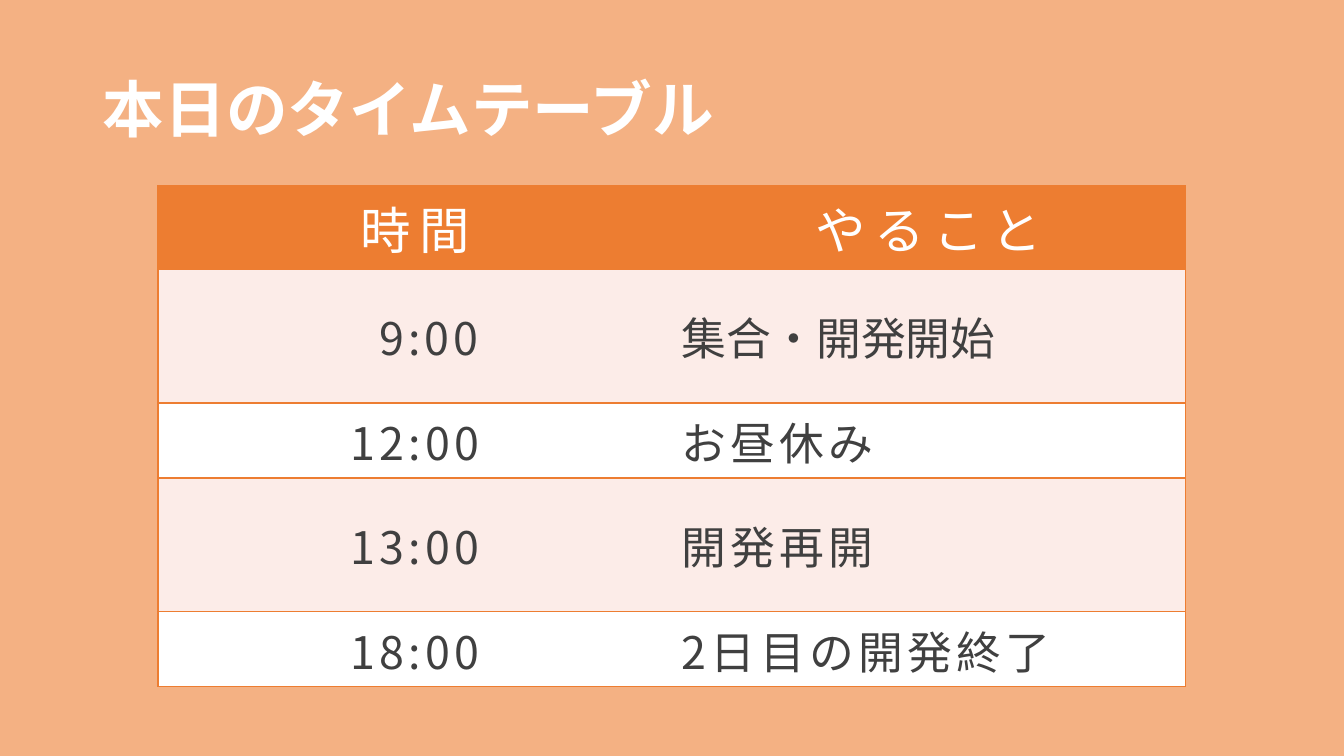
from dataclasses import dataclass

from lxml import etree
from pptx import Presentation
from pptx.dml.color import RGBColor
from pptx.enum.text import MSO_ANCHOR, PP_ALIGN
from pptx.oxml.ns import qn
from pptx.util import Emu, Pt

SCALE = 914400 / 100.8
FONT = "Noto Sans CJK JP"
WHITE, ORANGE, PEACH, PINK, GREY = "FFFFFF", "ED7D31", "F4B183", "FCECE8", "404040"
TOP, MIDDLE = MSO_ANCHOR.TOP, MSO_ANCHOR.MIDDLE
LEFT, CENTER = PP_ALIGN.LEFT, PP_ALIGN.CENTER
CELL_MARGIN = 10
DIGIT_SHIFT = 28
COLUMN_WIDTH = 514


@dataclass(frozen=True)
class TextStyle:
    """Look of one run; letter spacing is in points."""
    size: int
    color: str
    spacing: int = 0
    bold: bool = False


@dataclass(frozen=True)
class TimetableRow:
    """One timetable line with its height in pixels."""
    time: str
    activity: str
    height: int
    fill: str
    time_shift: int = 0
    activity_spacing: int = 3


TITLE_STYLE = TextStyle(44, WHITE, bold=True)
HEADER_STYLE = TextStyle(36, WHITE, 6)
HEADER = TimetableRow("時間", "やること", 83, ORANGE)
ENTRIES = [
    TimetableRow("9:00", "集合・開発開始", 134, PINK, DIGIT_SHIFT, 0),
    TimetableRow("12:00", "お昼休み", 75, WHITE),
    TimetableRow("13:00", "開発再開", 134, PINK),
    TimetableRow("18:00", "2日目の開発終了", 75, WHITE),
]


def px(pixels: float) -> Emu:
    """Turn pixels into EMU."""
    return Emu(round(pixels * SCALE))


def rgb(color: str) -> RGBColor:
    """Turn a hex string into a colour."""
    return RGBColor.from_string(color)


def add_run(paragraph, text: str, style: TextStyle) -> None:
    """Add one styled run to a paragraph."""
    run = paragraph.add_run()
    run.text = text
    run.font.size = Pt(style.size)
    run.font.bold = style.bold
    run.font.name = FONT
    run.font.color.rgb = rgb(style.color)
    properties = run._r.get_or_add_rPr()
    properties.set("spc", str(style.spacing * 100))
    east_asian = etree.Element(qn("a:ea"), typeface=FONT)
    properties.find(qn("a:latin")).addnext(east_asian)


def set_borders(cell, outer_side: str) -> None:
    """Draw the outer, top and bottom edges and leave the inner one empty."""
    properties = cell._tc.get_or_add_tcPr()
    for side in ("lnL", "lnR", "lnT", "lnB"):
        line = etree.SubElement(properties, qn(f"a:{side}"), w=str(Pt(1)))
        if side in (outer_side, "lnT", "lnB"):
            fill = etree.SubElement(line, qn("a:solidFill"))
            etree.SubElement(fill, qn("a:srgbClr"), val=ORANGE)
        else:
            etree.SubElement(line, qn("a:noFill"))


def fill_cell(cell, text: str, style: TextStyle, fill: str, alignment,
              anchor, outer_side: str, shift: int = 0) -> None:
    """Write and colour one table cell."""
    set_borders(cell, outer_side)
    cell.fill.solid()
    cell.fill.fore_color.rgb = rgb(fill)
    cell.vertical_anchor = anchor
    cell.margin_left = px(CELL_MARGIN + shift)
    cell.margin_right = px(CELL_MARGIN)
    paragraph = cell.text_frame.paragraphs[0]
    paragraph.alignment = alignment
    add_run(paragraph, text, style)


def add_title(slide, text: str) -> None:
    """Add the slide heading."""
    frame = slide.shapes.add_textbox(px(93), px(40), px(1159), px(146)).text_frame
    frame.word_wrap = True
    frame.vertical_anchor = MIDDLE
    paragraph = frame.paragraphs[0]
    paragraph.line_spacing = 0.9
    add_run(paragraph, text, TITLE_STYLE)


def add_timetable(slide, header: TimetableRow, entries: list[TimetableRow]) -> None:
    """Add the timetable with its header and entries."""
    rows = [header, *entries]
    height = sum(row.height for row in rows)
    table = slide.shapes.add_table(len(rows), 2, px(158), px(186),
                                   px(2 * COLUMN_WIDTH), px(height)).table
    table.first_row = False
    table.horz_banding = False
    for column in table.columns:
        column.width = px(COLUMN_WIDTH)
    for index, row in enumerate(rows):
        table.rows[index].height = px(row.height)
        if row is header:
            time_style = activity_style = HEADER_STYLE
            alignment, anchor = CENTER, TOP
        else:
            time_style = TextStyle(32, GREY, 3)
            activity_style = TextStyle(32, GREY, row.activity_spacing)
            alignment, anchor = LEFT, MIDDLE
        fill_cell(table.cell(index, 0), row.time, time_style, row.fill,
                  CENTER, anchor, "lnL", row.time_shift)
        fill_cell(table.cell(index, 1), row.activity, activity_style, row.fill,
                  alignment, anchor, "lnR")


def main() -> None:
    """Build and save the timetable slide."""
    presentation = Presentation()
    presentation.slide_width, presentation.slide_height = px(1344), px(756)
    slide = presentation.slides.add_slide(presentation.slide_layouts[6])
    slide.background.fill.solid()
    slide.background.fill.fore_color.rgb = rgb(PEACH)
    add_title(slide, "本日のタイムテーブル")
    add_timetable(slide, HEADER, ENTRIES)
    presentation.save("out.pptx")


main()
